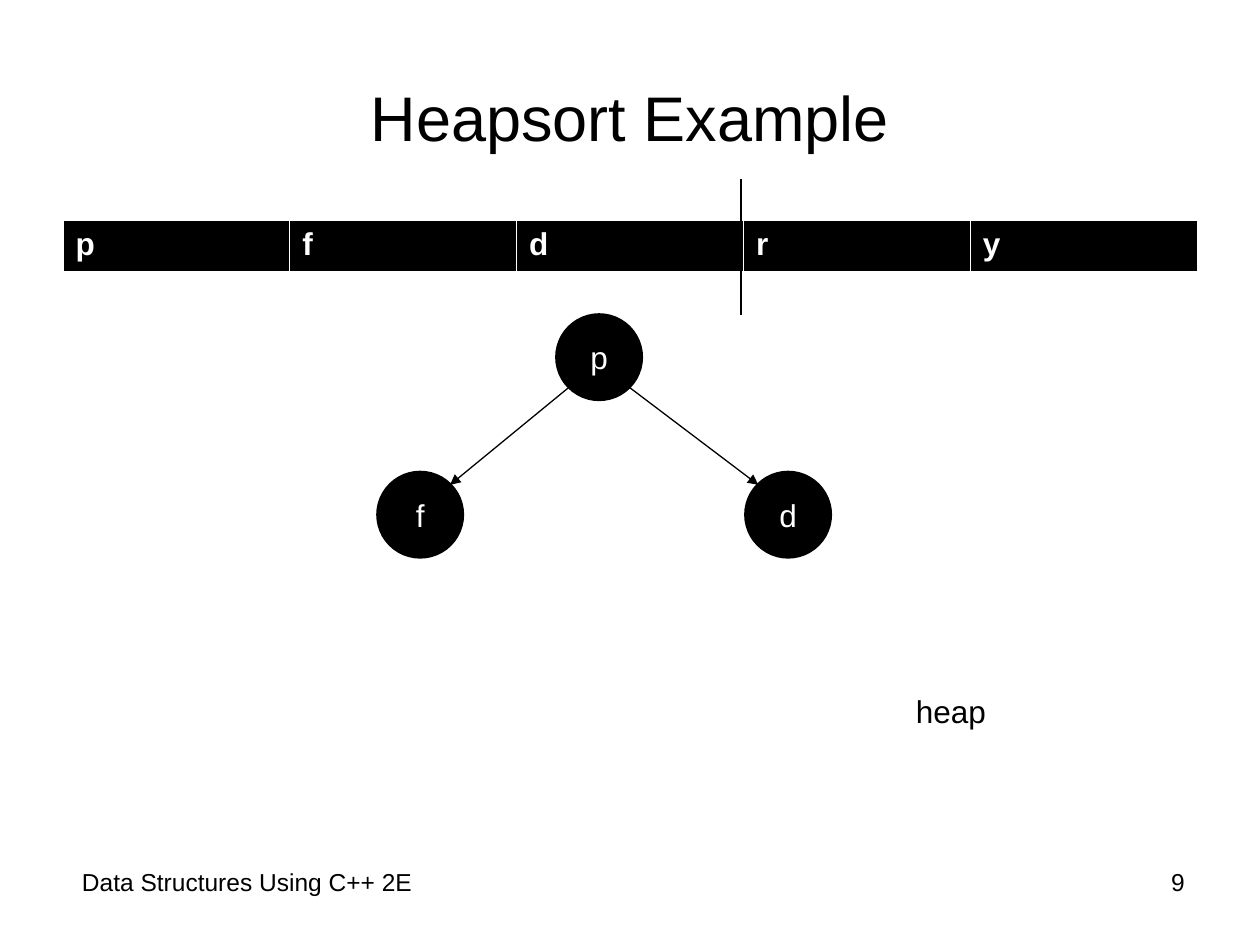
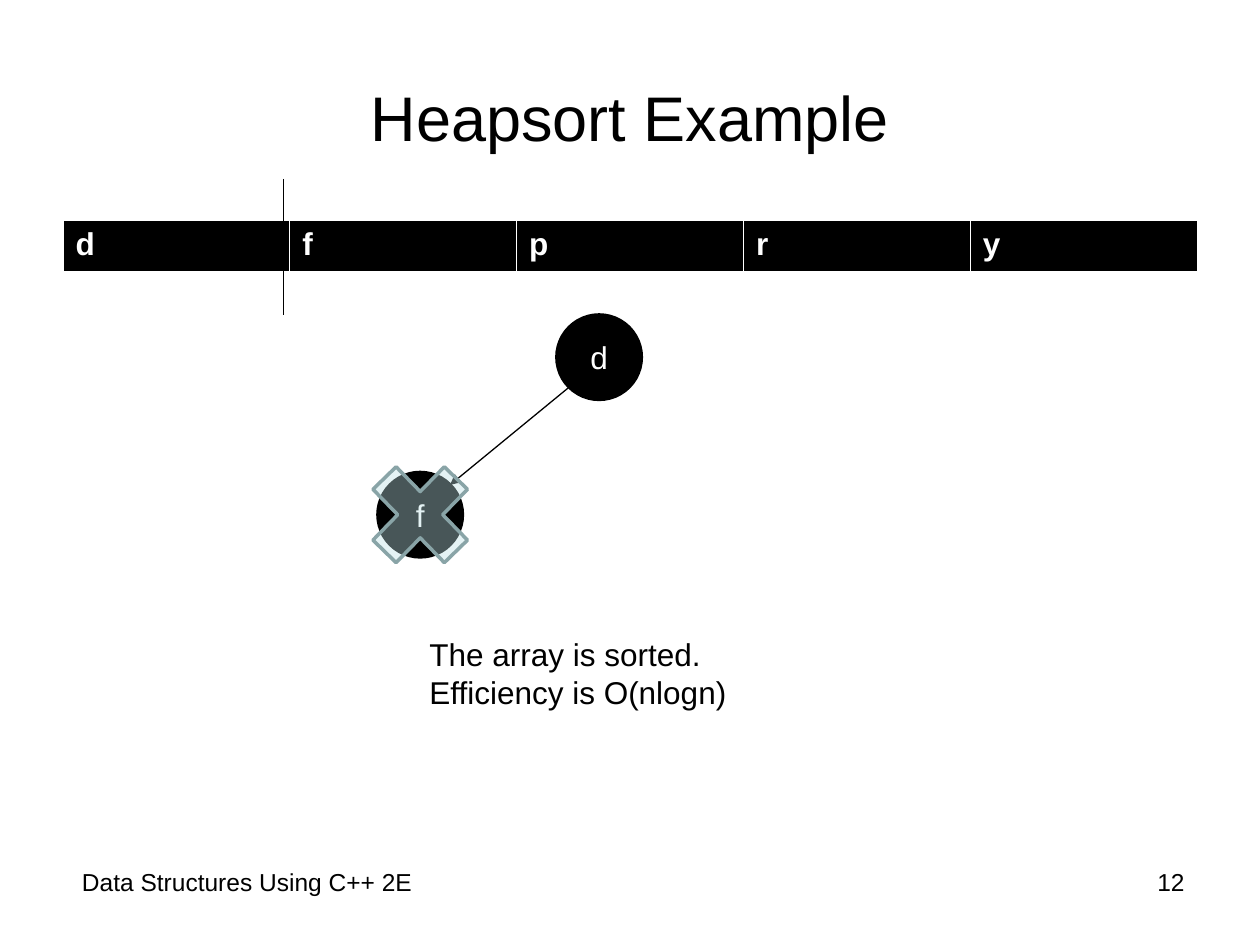
from lxml.etree import SubElement
from pptx import Presentation
from pptx.dml.color import RGBColor
from pptx.enum.shapes import MSO_CONNECTOR, MSO_SHAPE
from pptx.enum.text import MSO_ANCHOR, PP_ALIGN
from pptx.oxml import parse_xml
from pptx.oxml.ns import nsdecls, qn
from pptx.util import Inches, Pt

TITLE = "Heapsort Example"
FOOTER = "Data Structures Using C++ 2E"
FONT = "Arial"
COLORS = {"ink": "000000", "paper": "FFFFFF", "cross": "BBE0E3", "cross_line": "89A4A7"}

SLIDES = [
    {
        "number": "9",
        "array": ["p", "f", "d", "r", "y"],
        "divider": 5.88,
        "heap": {"root": "p", "left": "f", "right": "d"},
        "removed": [],
        "note": (["heap"], (7.17, 5.44, 1.83, 0.4)),
    },
    {
        "number": "12",
        "array": ["d", "f", "p", "r", "y"],
        "divider": 2.25,
        "heap": {"root": "d", "left": "f"},
        "removed": ["left"],
        "note": (["The array is sorted.", "Efficiency is O(nlogn)"], (3.31, 4.99, 4.58, 0.7)),
    },
]

NODE_SIZE = 0.67
NODE_SPOTS = {"root": (4.42, 2.5), "left": (3, 3.75), "right": (5.92, 3.75)}
SIDES = {"left": -1, "right": 1}
DIAGONAL = NODE_SIZE / 2 * 0.5 ** 0.5
CROSS_SIZE = (1.09, 1.12)
CELL_BORDERS = [("lnL", 0.45), ("lnR", 0.45), ("lnT", 0.45), ("lnB", 1.47)]


def rgb(name):
    return RGBColor.from_string(COLORS[name])


def write(tf, lines, size, color="ink", align=PP_ALIGN.LEFT, bold=False):
    p = tf.paragraphs[0]
    p.alignment = align
    for i, line in enumerate(lines):
        if i:
            p.add_line_break()
        r = p.add_run()
        r.text = line
        r.font.name = FONT
        r.font.size = Pt(size)
        r.font.bold = bold
        r.font.color.rgb = rgb(color)


def add_text(s, lines, box, size, align=PP_ALIGN.LEFT, indent=0.1):
    tf = s.shapes.add_textbox(*map(Inches, box)).text_frame
    tf.word_wrap = True
    tf.margin_left = Inches(indent)
    write(tf, lines, size, align=align)


def add_preset(s, kind, box, fill, line):
    sp = s.shapes.add_shape(kind, *map(Inches, box))
    sp.shadow.inherit = False
    sp.fill.solid()
    sp.fill.fore_color.rgb = rgb(fill)
    sp.line.color.rgb = rgb(line)
    sp.line.width = Pt(2)
    return sp


def add_line(s, start, end, arrow=False):
    line = s.shapes.add_connector(MSO_CONNECTOR.STRAIGHT, *map(Inches, start + end))
    line.line.color.rgb = rgb("ink")
    line.line.width = Pt(0.75)
    if arrow:
        SubElement(line.line._get_or_add_ln(), qn("a:tailEnd"), type="triangle")
    SubElement(line._element.spPr, qn("a:effectLst"))


def add_title(s):
    title = s.shapes.title
    title.left, title.top, title.width, title.height = map(Inches, (0.5, 0.3, 9, 1.25))
    title.text_frame.vertical_anchor = MSO_ANCHOR.MIDDLE
    write(title.text_frame, [TITLE], 36, align=PP_ALIGN.CENTER)


def add_array(s, values):
    box = map(Inches, (0.5, 1.75, 9, 0.41))
    table = s.shapes.add_table(1, len(values), *box).table
    for cell, value in zip(table.rows[0].cells, values):
        cell.fill.solid()
        cell.fill.fore_color.rgb = rgb("ink")
        write(cell.text_frame, [value], 18, "paper", bold=True)
        for i, (tag, width) in enumerate(CELL_BORDERS):
            cell._tc.get_or_add_tcPr().insert(i, parse_xml(
                f'<a:{tag} {nsdecls("a")} w="{Pt(width)}"><a:solidFill>'
                f'<a:srgbClr val="{COLORS["paper"]}"/></a:solidFill></a:{tag}>'))


def center(spot):
    return tuple(v + NODE_SIZE / 2 for v in NODE_SPOTS[spot])


def add_heap(s, heap):
    for spot, value in heap.items():
        box = NODE_SPOTS[spot] + (NODE_SIZE, NODE_SIZE)
        tf = add_preset(s, MSO_SHAPE.OVAL, box, "ink", "ink").text_frame
        tf.vertical_anchor = MSO_ANCHOR.MIDDLE
        write(tf, [value], 18, "paper", PP_ALIGN.CENTER)
    root_x, root_y = center("root")
    for spot in heap:
        if spot in SIDES:
            x, y = center(spot)
            shift = SIDES[spot] * DIAGONAL
            add_line(s, (root_x + shift, root_y + DIAGONAL), (x - shift, y - DIAGONAL), arrow=True)


def add_cross(s, spot):
    corner = tuple(c - size / 2 for c, size in zip(center(spot), CROSS_SIZE))
    sp = add_preset(s, MSO_SHAPE.MATH_MULTIPLY, corner + CROSS_SIZE, "cross", "cross_line")
    color = sp._element.spPr.find(qn("a:solidFill")).find(qn("a:srgbClr"))
    SubElement(color, qn("a:alpha"), val="39000")


def add_slide(prs, content):
    s = prs.slides.add_slide(prs.slide_layouts[5])
    add_title(s)
    add_array(s, content["array"])
    add_text(s, [FOOTER], (0.5, 6.83, 7.58, 0.52), 14, indent=0.15)
    add_text(s, [content["number"]], (8.58, 6.83, 0.92, 0.52), 14, PP_ALIGN.RIGHT)
    add_heap(s, content["heap"])
    add_text(s, *content["note"], 18)
    add_line(s, (content["divider"], 1.42), (content["divider"], 2.5))
    for spot in content["removed"]:
        add_cross(s, spot)


def main():
    prs = Presentation()
    prs.slide_width, prs.slide_height = Inches(10), Inches(7.5)
    for content in SLIDES:
        add_slide(prs, content)
    prs.save("out.pptx")


if __name__ == "__main__":
    main()
